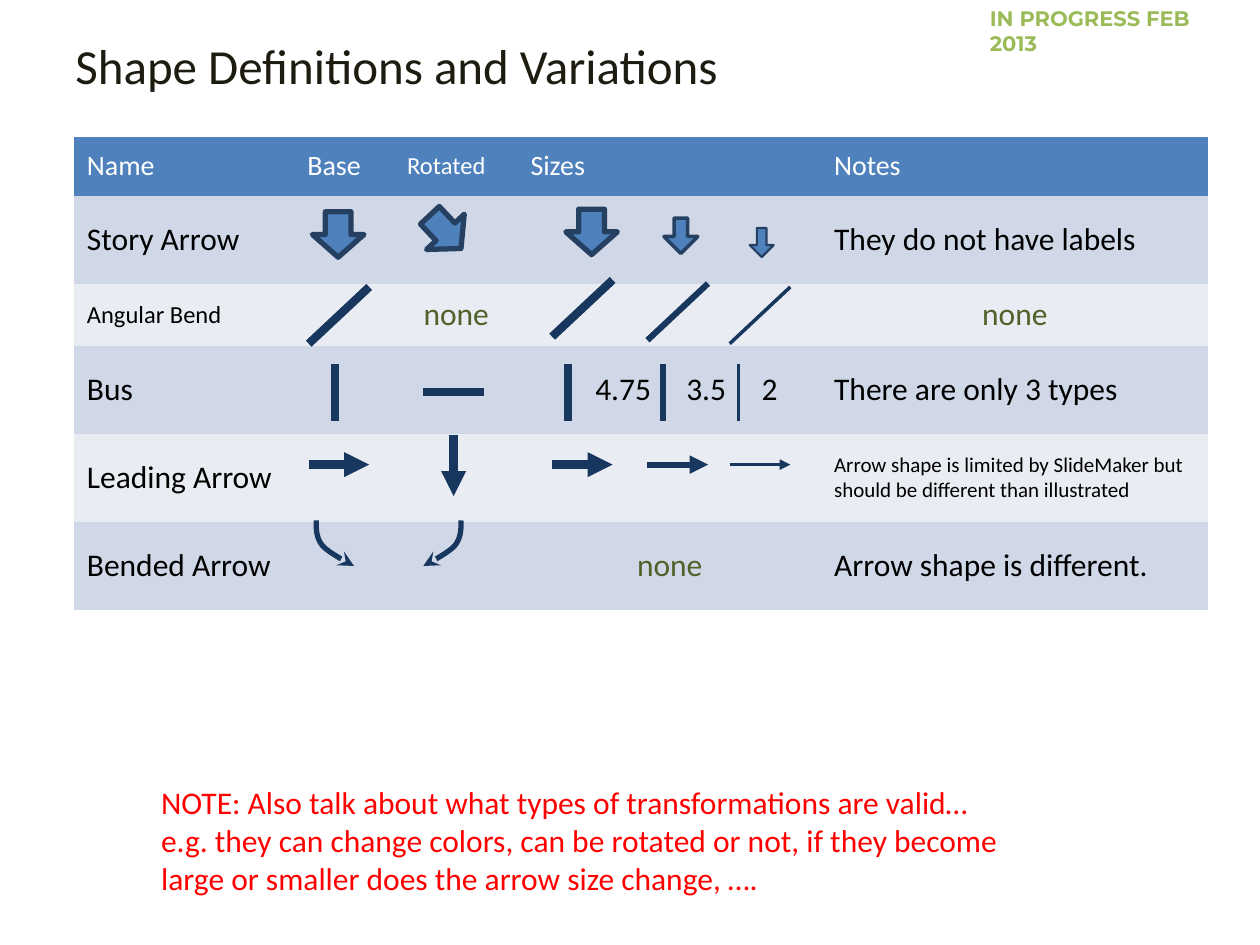
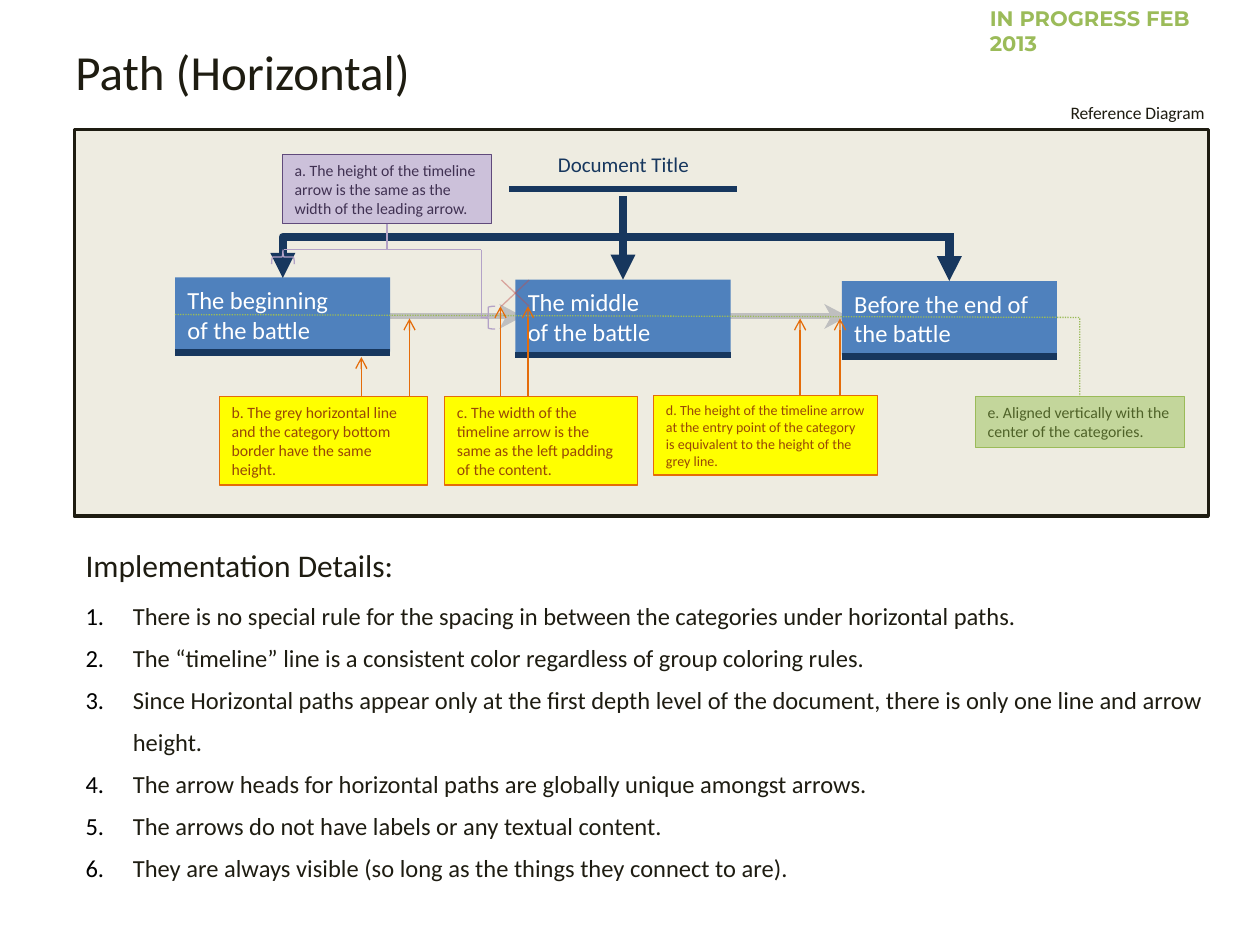
from lxml.etree import SubElement
from pptx import Presentation
from pptx.dml.color import RGBColor
from pptx.enum.dml import MSO_LINE
from pptx.enum.shapes import MSO_CONNECTOR as Connector, MSO_SHAPE as Shape
from pptx.enum.text import MSO_ANCHOR as Anchor, PP_ALIGN as Align
from pptx.oxml.ns import qn
from pptx.util import Pt

BLACK = RGBColor(0x00, 0x00, 0x00)
WHITE = RGBColor(0xFF, 0xFF, 0xFF)
INK = RGBColor(0x1E, 0x1C, 0x11)
RED = RGBColor(0xFF, 0x00, 0x00)
CROSS_RED = RGBColor(0xC0, 0x50, 0x4D)
NAVY = RGBColor(0x17, 0x37, 0x5E)
ARROW_EDGE = RGBColor(0x25, 0x40, 0x61)
BLUE = RGBColor(0x4F, 0x81, 0xBD)
BAND_DARK = RGBColor(0xD0, 0xD8, 0xE7)
BAND_LIGHT = RGBColor(0xE9, 0xEC, 0xF3)
CREAM = RGBColor(0xEE, 0xEC, 0xE1)
GREY = RGBColor(0xBF, 0xBF, 0xBF)
GREEN = RGBColor(0x9B, 0xBB, 0x59)
PALE_GREEN = RGBColor(0xC3, 0xD6, 0x9B)
DARK_GREEN = RGBColor(0x4F, 0x62, 0x28)
YELLOW = RGBColor(0xFF, 0xFF, 0x00)
ORANGE = RGBColor(0xE4, 0x6C, 0x0A)
BROWN = RGBColor(0x98, 0x48, 0x07)
LILAC = RGBColor(0xCC, 0xC1, 0xDA)
PURPLE = RGBColor(0x60, 0x4A, 0x7B)
DARK_PURPLE = RGBColor(0x40, 0x31, 0x52)
BRACE_PURPLE = RGBColor(0xB3, 0xA2, 0xC7)

FONT = "Calibri"
STATUS_FONT = "Montserrat"
NO_GRID_STYLE = "{2D5ABB26-0587-4C30-8999-92F81FD0307C}"


def write(frame, text, size=18, color=INK, font=FONT, bold=False, align=Align.LEFT,
          anchor=Anchor.TOP, spacing=None, numbered=False, tabs=()):
    """Fill a text frame, one paragraph for each line of text."""
    frame.word_wrap = True
    frame.vertical_anchor = anchor
    for index, line in enumerate(text.split("\n")):
        paragraph = frame.add_paragraph() if index else frame.paragraphs[0]
        properties = paragraph._p.get_or_add_pPr()
        if numbered:
            properties.set("marL", str(Pt(27)))
            properties.set("indent", str(-Pt(27)))
            bullet_color = SubElement(properties, qn("a:buClr"))
            SubElement(bullet_color, qn("a:srgbClr"), val=str(BLACK))
            SubElement(properties, qn("a:buAutoNum"), type="arabicPeriod")
        if tabs:
            tab_list = SubElement(properties, qn("a:tabLst"))
            for position in tabs:
                SubElement(tab_list, qn("a:tab"), pos=str(Pt(position)), algn="l")
        paragraph.alignment = align
        if spacing:
            paragraph.line_spacing = Pt(spacing)
        run = paragraph.add_run()
        run.text = line
        run.font.name = font
        run.font.size = Pt(size)
        run.font.bold = bold
        run.font.color.rgb = color


def paint(shape, fill=None, line=None, width=1):
    shape.shadow.inherit = False
    if fill is None:
        shape.fill.background()
    else:
        shape.fill.solid()
        shape.fill.fore_color.rgb = fill
    if line is None:
        shape.line.fill.background()
    else:
        shape.line.color.rgb = line
        shape.line.width = Pt(width)


def add_head(shape, kind):
    SubElement(shape.line._get_or_add_ln(), qn("a:tailEnd"), type=kind)


def bezier(start, first, second, end, steps=10):
    """Return points on a cubic curve, without its start."""
    points = []
    for step in range(1, steps + 1):
        t = step / steps
        weights = ((1 - t) ** 3, 3 * t * (1 - t) ** 2, 3 * t * t * (1 - t), t ** 3)
        points.append(tuple(sum(weight * point[axis] for weight, point
                                in zip(weights, (start, first, second, end)))
                            for axis in (0, 1)))
    return points


class Deck:
    """Holds the presentation, its style and the current slide."""

    def __init__(self):
        self.presentation = Presentation()
        self.presentation.slide_width = Pt(720)
        self.presentation.slide_height = Pt(540)
        self.slide = None

    def new_slide(self, title, title_top):
        self.slide = self.presentation.slides.add_slide(self.presentation.slide_layouts[6])
        self.text((36, title_top, 654.5, 38), title, size=28, anchor=Anchor.MIDDLE)
        self.text((558.5, -0.5, 148.5, 22), "IN PROGRESS FEB 2013", size=12,
                  color=GREEN, font=STATUS_FONT, bold=True)

    def text(self, box, text, **style):
        text_box = self.slide.shapes.add_textbox(*map(Pt, box))
        write(text_box.text_frame, text, **style)

    def shape(self, kind, box, fill=None, line=None, width=1, adjust=(), rotation=0):
        shape = self.slide.shapes.add_shape(kind, *map(Pt, box))
        paint(shape, fill, line, width)
        shape.rotation = rotation
        for index, value in enumerate(adjust):
            shape.adjustments[index] = value
        return shape

    def note(self, box, text, fill, line, color, size=9):
        note = self.shape(Shape.RECTANGLE, box, fill, line, 0)
        write(note.text_frame, text, size=size, color=color)
        return note

    def line(self, start, end, color=NAVY, width=4.75, head=None, dotted=False,
             alpha=None, kind=Connector.STRAIGHT):
        connector = self.slide.shapes.add_connector(kind, *map(Pt, (*start, *end)))
        connector.line.color.rgb = color
        connector.line.width = Pt(width)
        if dotted:
            connector.line.dash_style = MSO_LINE.ROUND_DOT
        if alpha:
            color_element = next(connector._element.spPr.iter(qn("a:srgbClr")))
            SubElement(color_element, qn("a:alpha"), val=str(alpha * 1000))
        if head:
            add_head(connector, head)
        SubElement(connector._element.spPr, qn("a:effectLst"))
        return connector

    def outline(self, points, close, **style):
        start, *rest = [tuple(map(Pt, point)) for point in points]
        builder = self.slide.shapes.build_freeform(*start)
        builder.add_line_segments(rest, close=close)
        shape = builder.convert_to_shape()
        paint(shape, **style)
        return shape

    def table(self, box, widths, heights, rows, styles):
        """Add a banded table; styles maps a (row, column) to its text format."""
        frame = self.slide.shapes.add_table(len(rows), len(widths), *map(Pt, box))
        next(frame._element.iter(qn("a:tableStyleId"))).text = NO_GRID_STYLE
        table = frame.table
        for column, width in zip(table.columns, widths):
            column.width = Pt(width)
        for row_index, (height, texts) in enumerate(zip(heights, rows)):
            table.rows[row_index].height = Pt(height)
            base = {"size": 18, "color": BLACK}
            fill = BAND_DARK if row_index % 2 else BAND_LIGHT
            if row_index == 0:
                base, fill = {"size": 16, "color": WHITE}, BLUE
            for column_index, text in enumerate(texts):
                cell = table.cell(row_index, column_index)
                cell.fill.solid()
                cell.fill.fore_color.rgb = fill
                cell.vertical_anchor = Anchor.MIDDLE
                if text == "none":
                    style = {"color": DARK_GREEN, "align": Align.CENTER}
                else:
                    style = styles.get((row_index, column_index), {})
                if text:
                    write(cell.text_frame, text, anchor=Anchor.MIDDLE, **{**base, **style})


def build_definitions(deck):
    deck.new_slide("Shape Definitions and Variations", 18)
    deck.text((85, 444, 496, 72),
              "NOTE: Also talk about what types of transformations are valid… "
              "e.g. they can change colors, can be rotated or not, if they become "
              "large or smaller does the arrow size change, ….", color=RED)
    rows = [
        ("Name", "Base", "Rotated", "Sizes", "Notes"),
        ("Story Arrow", "", "", "", "They do not have labels"),
        ("Angular Bend", "", "none", "", "none"),
        ("Bus", "", "", "\t4.75\t3.5\t2", "There are only 3 types"),
        ("Leading Arrow", "", "", "", "Arrow shape is limited by SlideMaker but "
                                      "should be different than illustrated"),
        ("Bended Arrow", "", "", "none", "Arrow shape is different."),
    ]
    styles = {(0, 2): {"size": 14}, (2, 0): {"size": 14}, (4, 4): {"size": 12},
              (3, 3): {"tabs": (37, 89, 132)}}
    deck.table((42.5, 78, 648, 270.7), (126, 57, 70.5, 173.5, 221),
               (33.8, 50.4, 35.3, 50.4, 50.4, 50.4), rows, styles)

    story_arrows = [
        ((178.5, 121, 29.5, 26), 3, 0.5, 0),
        ((239.8, 119.5, 29.5, 26), 3, 0.5, 316.9),
        ((323.3, 119.5, 29.5, 26), 3, 0.5, 0),
        ((379.4, 124.6, 19.4, 20.2), 2, 0.4, 0),
        ((428.4, 130.3, 13.7, 16.6), 1.25, 0.4, 0),
    ]
    for box, width, shaft, rotation in story_arrows:
        deck.shape(Shape.DOWN_ARROW, box, BLUE, ARROW_EDGE, width, (shaft, 0.5), rotation)

    length = 34.6
    # left edge, top of the bend, bus position, line width
    variations = [(176.4, 164, 191.5, 4.75), (315.5, 160, 324.7, 4.75),
                  (370, 162, 378.7, 3.5), (417, 164, 422, 2)]
    for left, bend_top, bus_x, width in variations:
        deck.line((left + length, bend_top), (left, bend_top + 32.4), width=width)
        deck.line((bus_x, 208), (bus_x, 240.5), width=width)
        deck.line((left, 265.5), (left + length, 265.5), width=width, head="triangle")
    deck.line((242, 224), (242 + length, 224))
    deck.line((259.2, 248.4), (259.2, 283.5), head="triangle")

    curve = [(0, 0), *bezier((0, 0), (0, 5), (0, 10), (3.6, 14.4)),
             *bezier((3.6, 14.4), (7.2, 18.7), (21.6, 26), (21.6, 26))]
    for left, direction in ((180.7, 1), (263.5, -1)):
        points = [(left + direction * x, 297.4 + y) for x, y in curve]
        add_head(deck.outline(points, close=False, line=NAVY, width=3), "stealth")


def build_path(deck):
    deck.new_slide("Path (Horizontal)", 21.5)
    deck.shape(Shape.RECTANGLE, (42.5, 74, 648, 221), CREAM, INK, 2)
    deck.text((582.5, 54.7, 113, 19.5), "Reference Diagram", size=10, align=Align.RIGHT)

    for left in (471, 285.3):
        deck.outline([(left, 188), (left + 4, 180.8), (left, 173.7), (left + 13.5, 180.8)],
                     close=True, fill=GREY)
    deck.shape(Shape.RECTANGLE, (118, 180, 453.6, 1.5), GREY, GREY, 2)

    categories = []
    for left, top, text in ((100, 158.5, "The beginning\nof the battle"),
                            (294.5, 159.8, "The middle\nof the battle"),
                            (481, 160.6, "Before the end of the battle")):
        category = deck.shape(Shape.RECTANGLE, (left, top, 123, 42.5), BLUE)
        write(category.text_frame, text, size=14, color=WHITE, anchor=Anchor.MIDDLE)
        deck.line((left, top + 43), (left + 123, top + 43), width=3.75)
        categories.append(category)
    first, middle, last = categories

    branch = deck.line((235.4, 38.2), (282.2, 232.6), head="triangle", kind=Connector.ELBOW)
    branch._element.spPr.find(qn("a:xfrm")).set("rot", str(90 * 60000))
    for x, top, category in ((356, 134.6, middle), (542.5, 133.2, last)):
        deck.line((x, top), (x, 160), head="triangle").end_connect(category, 0)
    deck.line((356, 135.4), (542.9, 135.4))
    deck.line((421, 108), (291, 108), width=3.5)
    deck.text((285, 78, 142.5, 31.7), "Document Title", size=12, color=NAVY,
              align=Align.CENTER, anchor=Anchor.MIDDLE)

    center_line = deck.line((100, 180), (617, 181.4), GREEN, 0.75, dotted=True)
    center_line.begin_connect(first, 1)
    centering = deck.note((557.3, 226.8, 119.5, 28.8),
                          "e. Aligned vertically with the center of the categories.",
                          PALE_GREEN, GREEN, DARK_GREEN)
    deck.line((617, 182), (617, 226.8), GREEN, 0.75, dotted=True).end_connect(centering, 0)

    yellow_notes = [
        ((125.3, 226.8, 119, 50.4), 9, "b. The grey horizontal line and the category "
                                       "bottom border have the same height."),
        ((254, 226.8, 110.3, 50.4), 9, "c. The width of the timeline arrow is the same "
                                       "as the left padding of the content."),
        ((373.5, 226, 128, 45.5), 8, "d. The height of the timeline arrow at the entry point "
                                     "of the category is equivalent to the height of the "
                                     "grey line."),
    ]
    for box, size, text in yellow_notes:
        deck.note(box, text, YELLOW, ORANGE, BROWN, size)
    for x, tip in ((234, 182), (206.5, 204), (286, 175), (301.7, 175), (480, 182), (457.2, 182)):
        deck.line((x, 226.4), (x, tip), ORANGE, 0.75, head="arrow")
    for start_y, end_y in ((160, 175), (175, 160)):
        deck.line((286.5, start_y), (302.4, end_y), CROSS_RED, 0.75, alpha=46)

    width_note = deck.note((161.3, 88.3, 119.8, 39.5),
                           "a. The height of the timeline arrow is the same as the width "
                           "of the leading arrow.", LILAC, PURPLE, DARK_PURPLE)
    for kind, left, top, rotation in ((Shape.LEFT_BRACE, 275, 175, 0),
                                      (Shape.RIGHT_BRACE, 157.7, 140.4, 270)):
        deck.shape(kind, (left, top, 8, 13), None, BRACE_PURPLE, 0.75, (0.08, 0.5), rotation)
    deck.line((275, 142.6), (275, 181.4), BRACE_PURPLE, 0.75)
    deck.line((221.2, 127.8), (221.2, 142.6), BRACE_PURPLE, 0.75).begin_connect(width_note, 2)
    deck.line((162, 142.6), (275, 142.6), BRACE_PURPLE, 0.75)

    deck.text((41.8, 308.2, 240, 29), "Implementation Details:")
    details = [
        "There is no special rule for the spacing in between the categories under "
        "horizontal paths.",
        "The “timeline” line is a consistent color regardless of group coloring rules.",
        "Since Horizontal paths appear only at the first depth level of the document, "
        "there is only one line and arrow height.",
        "The arrow heads for horizontal paths are globally unique amongst arrows.",
        "The arrows do not have labels or any textual content.",
        "They are always visible (so long as the things they connect to are).",
    ]
    deck.text((41.8, 332.6, 653.8, 175), "\n".join(details), size=14, spacing=24, numbered=True)


def main():
    deck = Deck()
    build_definitions(deck)
    build_path(deck)
    deck.presentation.save("out.pptx")


if __name__ == "__main__":
    main()
